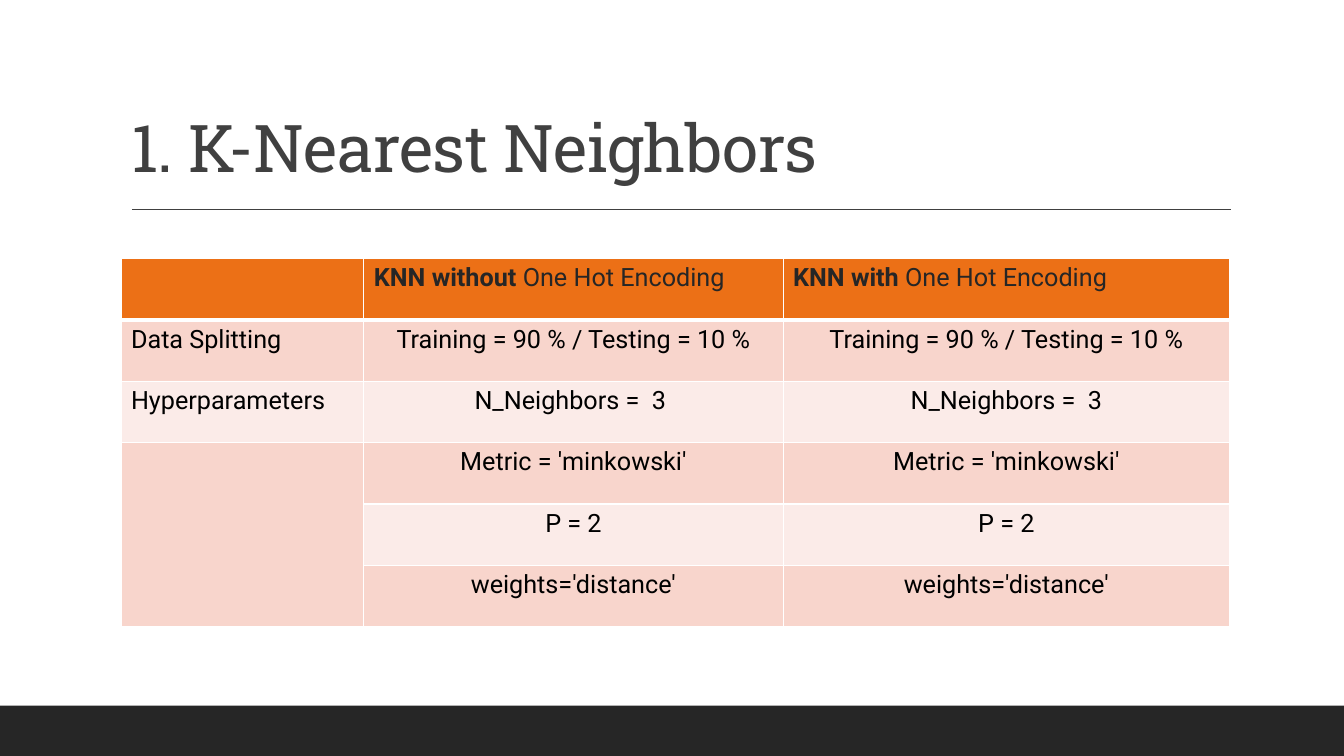
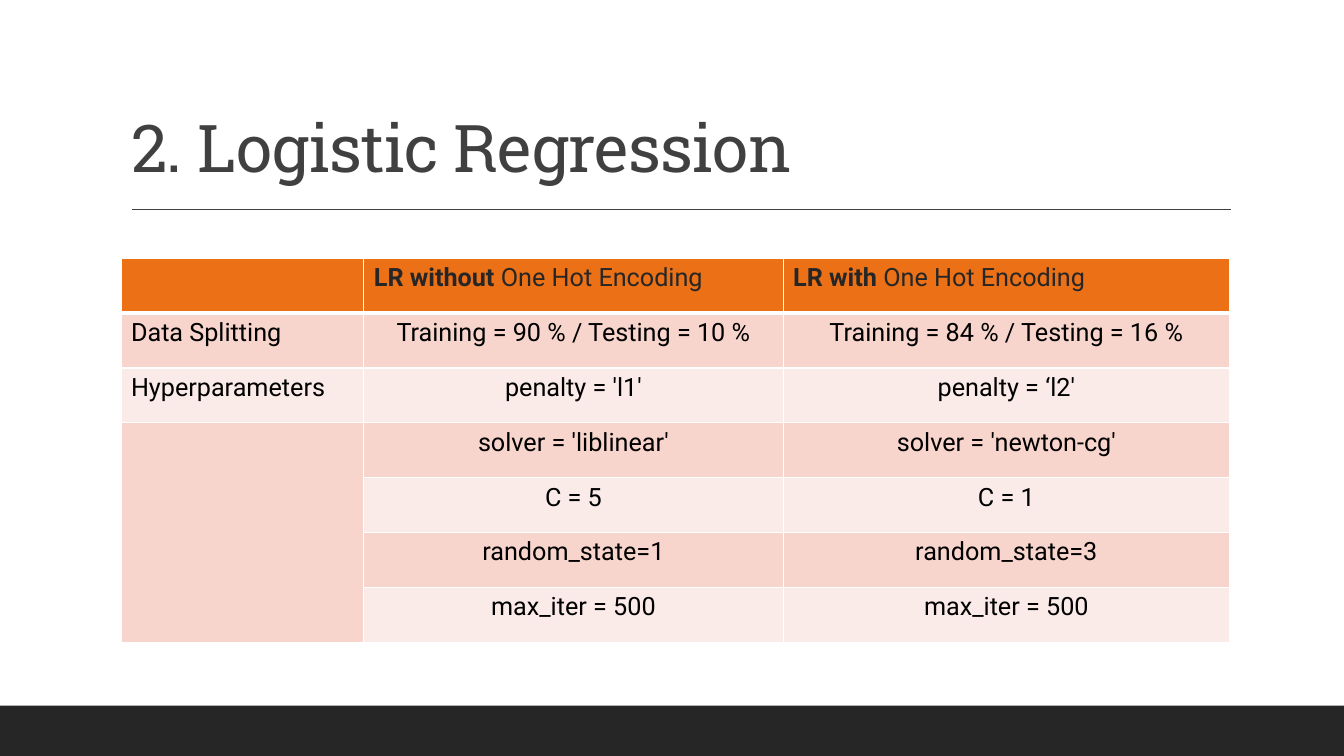
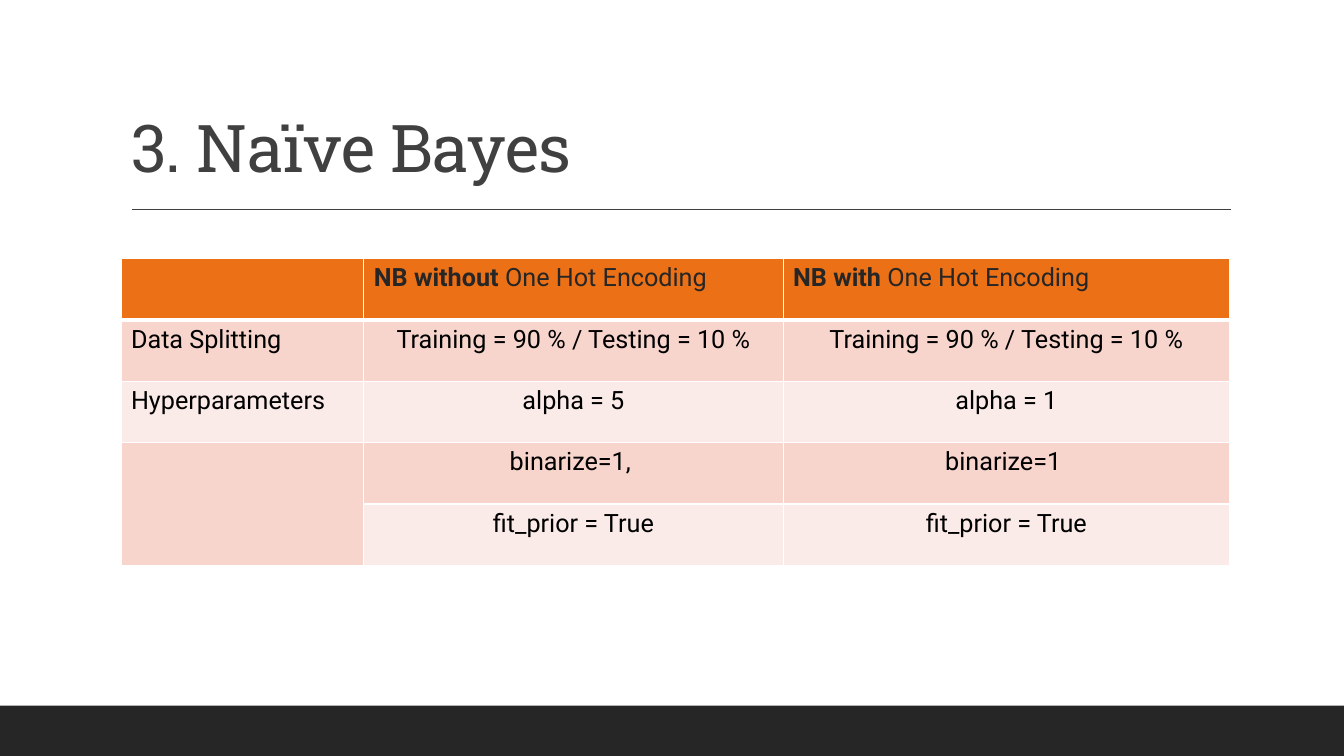
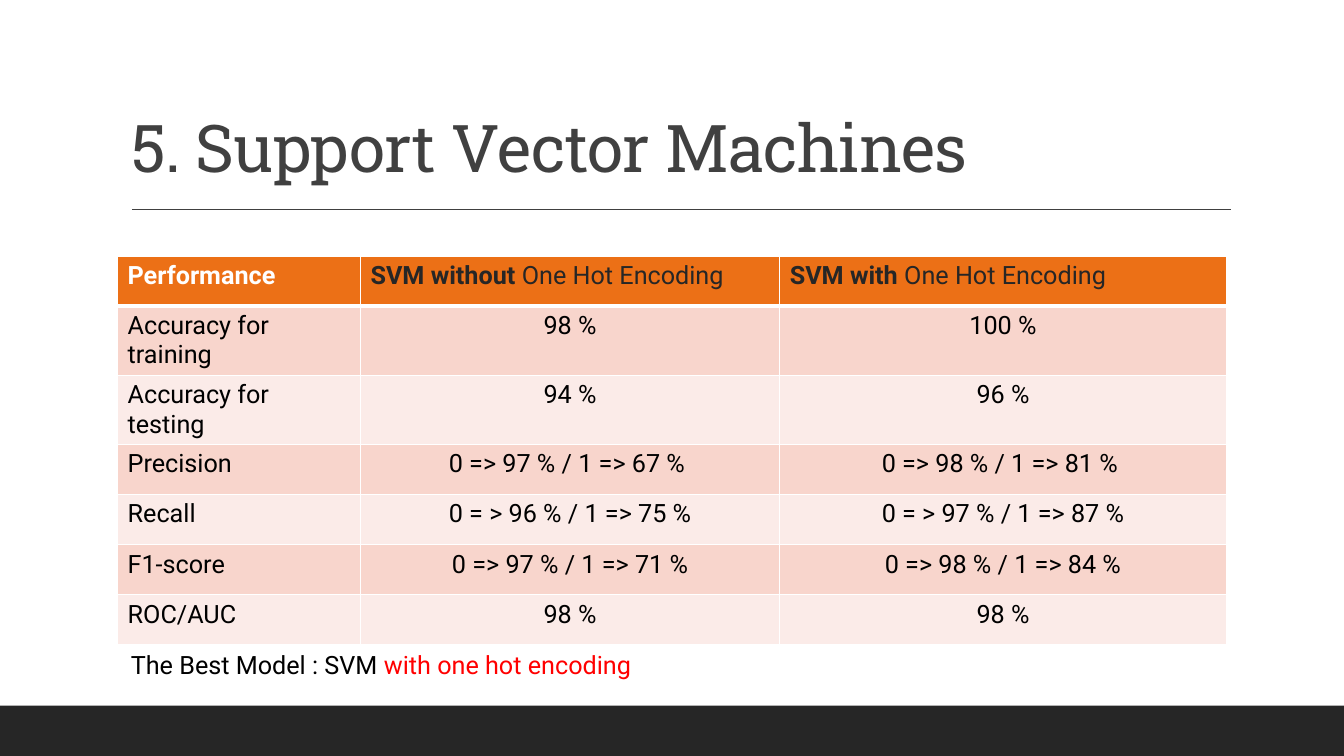
from lxml import etree
from pptx import Presentation
from pptx.dml.color import RGBColor
from pptx.enum import shapes, text
from pptx.oxml import ns
from pptx.util import Pt

COLORS = {"dark": "262626", "title": "404040", "header": "EC7016",
          "odd": "F8D5CC", "even": "FBEBE8", "black": "000000",
          "white": "FFFFFF", "red": "FF0000"}
COLUMNS = (173.5, 299.5, 319)
SPLIT_90 = "Training = 90 % / Testing = 10 %"

# Slide content: title, model, table position, row height, first heading, rows
# A row labelled None joins the empty cell below the last label
MODELS = [
    ("1. K-Nearest Neighbors", "KNN", (86.4, 184.5), 43.9, "", [
        ("Data Splitting", SPLIT_90, SPLIT_90),
        ("Hyperparameters", "N_Neighbors =  3 ", "N_Neighbors =  3"),
        (None, "Metric = 'minkowski'", "Metric = 'minkowski'"),
        (None, "P = 2", "P = 2"),
        (None, "weights='distance'", "weights='distance'")]),
    ("2. Logistic Regression", "LR", (86.4, 184.5), 39.2, "", [
        ("Data Splitting", SPLIT_90, "Training = 84 % / Testing = 16 %"),
        ("Hyperparameters", "penalty = 'l1'", "penalty = ‘l2'"),
        (None, "solver = 'liblinear'", "solver = 'newton-cg'"),
        (None, "C = 5", "C = 1"),
        (None, "random_state=1", "random_state=3"),
        (None, "max_iter = 500", "max_iter = 500")]),
    ("3. Naïve Bayes", "NB", (86.4, 184.5), 43.9, "", [
        ("Data Splitting", SPLIT_90, SPLIT_90),
        ("Hyperparameters", "alpha = 5", "alpha = 1"),
        (None, "binarize=1, ", "binarize=1 "),
        (None, "fit_prior = True", "fit_prior = True")]),
    ("5. Support Vector Machines", "SVM", (84, 182.8), 35.8, "Performance", [
        ("Accuracy for training", "98 %", "100 %"),
        ("Accuracy for testing", "94 %", "96 %"),
        ("Precision", "0 => 97 % / 1 => 67 % ", "0 => 98 % / 1 => 81 % "),
        ("Recall", "0 = > 96 % / 1 => 75 %", "0 = > 97 % / 1 => 87 %"),
        ("F1-score", "0 => 97 % / 1 => 71 %", "0 => 98 % / 1 => 84 %"),
        ("ROC/AUC", "98 %", "98 %")]),
]


def add_run(paragraph, words, color, bold=False, size=18, font="Roboto"):
    run = paragraph.add_run()
    run.text = words
    run.font.size, run.font.name, run.font.bold = Pt(size), font, bold
    run.font.color.rgb = RGBColor.from_string(COLORS[color])
    return run


def paint_cell(cell, fill, bottom):
    """Fill a cell and rule its edges in white."""
    props = cell._tc.get_or_add_tcPr()
    for edge, width in (("lnL", 1), ("lnR", 1), ("lnT", 1), ("lnB", bottom)):
        line = etree.SubElement(props, ns.qn(f"a:{edge}"), w=str(Pt(width)))
        solid = etree.SubElement(line, ns.qn("a:solidFill"))
        etree.SubElement(solid, ns.qn("a:srgbClr"), val=COLORS["white"])
    cell.fill.solid()
    cell.fill.fore_color.rgb = RGBColor.from_string(COLORS[fill])


prs = Presentation()
prs.slide_width, prs.slide_height = Pt(960), Pt(540)
layout = prs.slide_layouts[5]

# Shared title place
heading = layout.placeholders[0]
heading.left, heading.top = Pt(86.4), Pt(22.5)
heading.width, heading.height = Pt(792), Pt(114.5)
heading.text_frame.vertical_anchor = text.MSO_ANCHOR.BOTTOM
heading.text_frame.auto_size = text.MSO_AUTO_SIZE.NONE

for number, (title, model, origin, row_height, corner, rows) in enumerate(MODELS):
    slide = prs.slides.add_slide(layout)

    # Footer band and title rule, drawn once and moved to the layout
    if number == 0:
        band = slide.shapes.add_shape(shapes.MSO_SHAPE.RECTANGLE,
                                      Pt(0), Pt(504), Pt(960), Pt(36))
        band.shadow.inherit = False
        band.fill.solid()
        band.fill.fore_color.rgb = RGBColor.from_string(COLORS["dark"])
        band.line.fill.background()
        rule = slide.shapes.add_connector(shapes.MSO_CONNECTOR.STRAIGHT,
                                          Pt(94.3), Pt(149.6), Pt(879), Pt(149.6))
        rule.line.color.rgb = RGBColor.from_string(COLORS["title"])
        rule.line.width = Pt(1)
        etree.SubElement(rule.element.spPr, ns.qn("a:effectLst"))
        for shared in (band, rule):
            layout.shapes.element.append(shared.element)

    # Title
    paragraph = slide.shapes.title.text_frame.paragraphs[0]
    paragraph.alignment = text.PP_ALIGN.LEFT
    paragraph.line_spacing = 0.9
    run = add_run(paragraph, title, "title", size=47, font="Roboto Slab")
    run.font._element.set("spc", "-50")

    # Table grid
    count = len(rows) + 1
    table = slide.shapes.add_table(count, 3, Pt(origin[0]), Pt(origin[1]),
                                   Pt(sum(COLUMNS)), Pt(row_height * count)).table
    for column, width in zip(table.columns, COLUMNS):
        column.width = Pt(width)
    for row in table.rows:
        row.height = Pt(row_height)

    # Header row
    for cell in table.rows[0].cells:
        paint_cell(cell, "header", 3)
    if corner:
        add_run(table.cell(0, 0).text_frame.paragraphs[0], corner, "white", True)
    for c, variant in enumerate(("without", "with"), 1):
        paragraph = table.cell(0, c).text_frame.paragraphs[0]
        add_run(paragraph, f"{model} {variant} ", "dark", True)
        add_run(paragraph, "One Hot Encoding", "dark")

    # Body rows
    for r, row in enumerate(rows, 1):
        for c, words in enumerate(row):
            cell = table.cell(r, c)
            paint_cell(cell, "odd" if r % 2 else "even", 1)
            paragraph = cell.text_frame.paragraphs[0]
            if c:
                paragraph.alignment = text.PP_ALIGN.CENTER
            if words:
                add_run(paragraph, words, "black")
    unlabelled = [r for r, row in enumerate(rows, 1) if row[0] is None]
    if unlabelled:
        table.cell(unlabelled[0], 0).merge(table.cell(unlabelled[-1], 0))

# Conclusion under the last table
verdict = slide.shapes.add_textbox(Pt(86.4), Pt(460), Pt(394), Pt(29)).text_frame
verdict.word_wrap = True
add_run(verdict.paragraphs[0], "The Best Model : SVM ", "black")
add_run(verdict.paragraphs[0], "with one hot encoding", "red")

prs.save("out.pptx")
